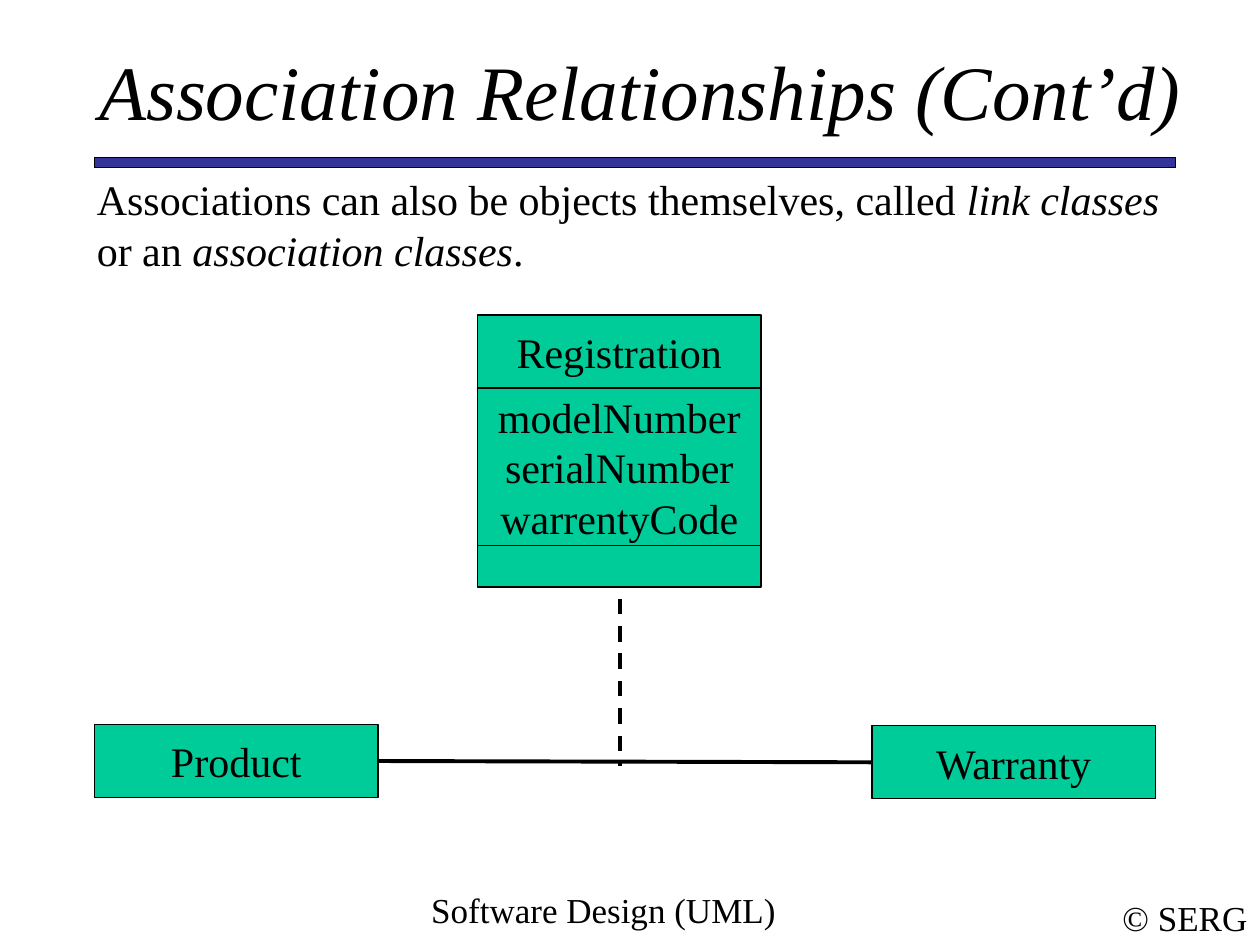
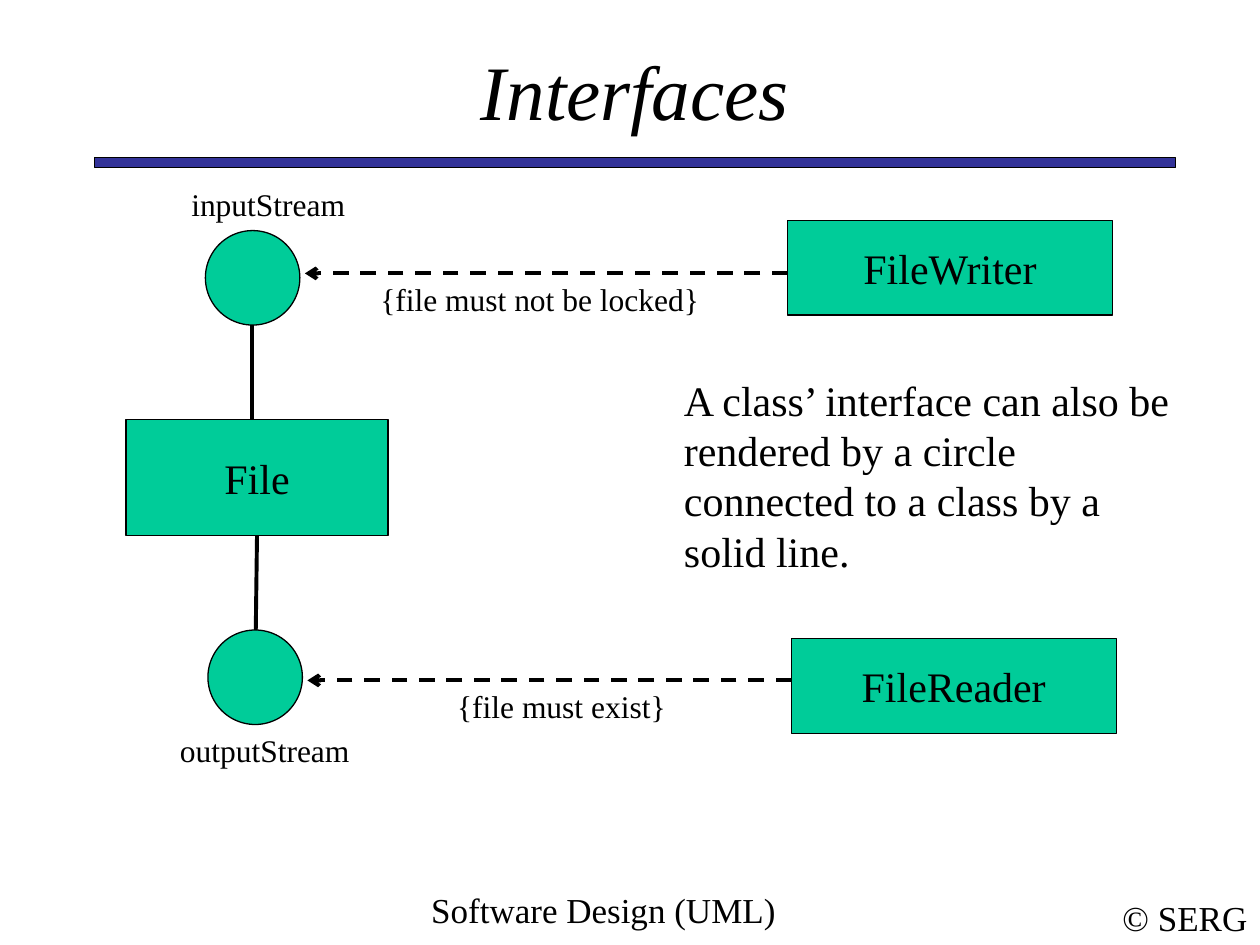
"""Build two UML slides: association classes and interfaces."""
from lxml import etree
from pptx import Presentation
from pptx.dml.color import RGBColor
from pptx.enum.dml import MSO_LINE
from pptx.enum.shapes import MSO_CONNECTOR, MSO_SHAPE
from pptx.enum.text import MSO_ANCHOR, MSO_AUTO_SIZE, PP_ALIGN
from pptx.oxml.ns import qn
from pptx.util import Inches, Pt

RECTANGLE, CIRCLE = MSO_SHAPE.RECTANGLE, MSO_SHAPE.OVAL
STRAIGHT, DASH = MSO_CONNECTOR.STRAIGHT, MSO_LINE.DASH
LEFT, CENTER = PP_ALIGN.LEFT, PP_ALIGN.CENTER
TOP, MIDDLE = MSO_ANCHOR.TOP, MSO_ANCHOR.MIDDLE
NO_FIT = MSO_AUTO_SIZE.NONE
FONT = "Times New Roman"
COLORS = {name: RGBColor.from_string(value) for name, value in {
    "ink": "000000", "band": "333399", "node": "00CC99"}.items()}
SITE_LEFT, SITE_BOTTOM, SITE_RIGHT = 1, 2, 3


def write_text(box, text, size=24, align=LEFT, anchor=TOP, wrap=True, italic=False):
    """Fill a box with lines of text; asterisks toggle italics."""
    frame = box.text_frame
    frame.auto_size = NO_FIT
    frame.word_wrap = wrap
    frame.vertical_anchor = anchor
    for row, line in enumerate(text.split("\n")):
        para = frame.add_paragraph() if row else frame.paragraphs[0]
        para.alignment = align
        for part, words in enumerate(line.split("*")):
            span = para.add_run()
            span.text = words
            span.font.name = FONT
            span.font.size = Pt(size)
            span.font.italic = italic or part % 2 == 1
            span.font.color.rgb = COLORS["ink"]


def draw_line(page, start, end, dashed=False, arrow=False):
    """Draw a straight line, optionally dashed or with an arrowhead at its end."""
    line = page.shapes.add_connector(STRAIGHT, *map(Inches, start + end))
    line.line.color.rgb = COLORS["ink"]
    line.line.width = Pt(2.25)
    if dashed:
        line.line.dash_style = DASH
    properties = line._element.spPr
    if arrow:
        etree.SubElement(properties.find(qn("a:ln")), qn("a:tailEnd"), type="arrow")
    etree.SubElement(properties, qn("a:effectLst"))
    return line


deck = Presentation()
deck.slide_width, deck.slide_height = Inches(10), Inches(7.5)
pages = []
for title_text, title_left, title_width in [
    ("Association Relationships (Cont’d)", 0.67, 8.83),
    ("Interfaces", 0.75, 8.58),
]:
    page = deck.slides.add_slide(deck.slide_layouts[5])
    pages.append(page)
    title = page.shapes.title
    title.left, title.top = Inches(title_left), Inches(0.42)
    title.width, title.height = Inches(title_width), Inches(0.58)
    write_text(title, title_text, size=44, align=CENTER, anchor=MIDDLE, italic=True)
    frame = title.text_frame
    frame.margin_left = frame.margin_right = frame.margin_top = frame.margin_bottom = 0
association, interfaces = pages

texts = [
    (association, (0.67, 1.33, 8.87, 0.9), 24,
     "Associations can also be objects themselves, called *link classes*"
     " or an *association classes*."),
    (interfaces, (5.33, 2.92, 4.17, 1.7), 24,
     "A class’ interface can also be rendered by a circle connected to a class"
     " by a solid line."),
    (interfaces, (1.42, 1.42, 1.67, 0.4), 18, "inputStream"),
    (interfaces, (1.33, 5.75, 1.67, 0.4), 18, "outputStream"),
    (interfaces, (2.92, 2.17, 3.17, 0.4), 18, "{file must not be locked}"),
    (interfaces, (3.53, 5.4, 2, 0.4), 18, "{file must exist}"),
]
for page, place, size, text in texts:
    write_text(page.shapes.add_textbox(*map(Inches, place)), text, size=size)

shapes = [(page, RECTANGLE, (0.75, 1.25, 8.58, 0.08), "band", "") for page in pages]
shapes += [(page, kind, place, "node", text) for page, kind, place, text in [
    (association, RECTANGLE, (3.79, 4.33, 2.25, 0.33), ""),
    (association, RECTANGLE, (3.79, 2.5, 2.25, 0.58), "Registration"),
    (association, RECTANGLE, (3.79, 3.08, 2.25, 1.25),
     "modelNumber\nserialNumber\nwarrentyCode"),
    (association, RECTANGLE, (0.75, 5.75, 2.25, 0.58), "Product"),
    (association, RECTANGLE, (6.92, 5.76, 2.25, 0.58), "Warranty"),
    (interfaces, RECTANGLE, (1, 3.33, 2.08, 0.92), "File"),
    (interfaces, CIRCLE, (1.63, 1.83, 0.75, 0.75), ""),
    (interfaces, CIRCLE, (1.65, 5, 0.75, 0.75), ""),
    (interfaces, RECTANGLE, (6.25, 1.75, 2.58, 0.75), "FileWriter"),
    (interfaces, RECTANGLE, (6.28, 5.07, 2.58, 0.75), "FileReader"),
]]
classes = {}
for page, kind, place, color, text in shapes:
    box = page.shapes.add_shape(kind, *map(Inches, place))
    box.shadow.inherit = False
    box.fill.solid()
    box.fill.fore_color.rgb = COLORS[color]
    box.line.color.rgb = COLORS["ink"]
    box.line.width = Pt(0.75)
    if text:
        write_text(box, text, align=CENTER, anchor=MIDDLE, wrap=False)
        classes[text] = box

link = draw_line(association, (3, 6.06), (6.92, 6.06))
link.begin_connect(classes["Product"], SITE_RIGHT)
link.end_connect(classes["Warranty"], SITE_LEFT)
draw_line(association, (4.92, 4.75), (4.92, 6.08), dashed=True)

draw_line(interfaces, (2, 2.58), (2, 3.33))
output_stem = draw_line(interfaces, (2.03, 5), (2.03, 4.25))
output_stem.end_connect(classes["File"], SITE_BOTTOM)
for start, end in [((6.25, 2.17), (2.42, 2.17)), ((6.28, 5.4), (2.44, 5.4))]:
    draw_line(interfaces, start, end, dashed=True, arrow=True)

for page in pages:
    for place, text, anchor, wrap in [
        ((2.58, 7, 4.42, 0.5), "Software Design (UML)", TOP, True),
        ((8.81, 7.06, 1.19, 0.44), "© SERG", MIDDLE, False),
    ]:
        footer = page.shapes.add_textbox(*map(Inches, place))
        write_text(footer, text, size=20, align=CENTER, anchor=anchor, wrap=wrap)

deck.save("out.pptx")
